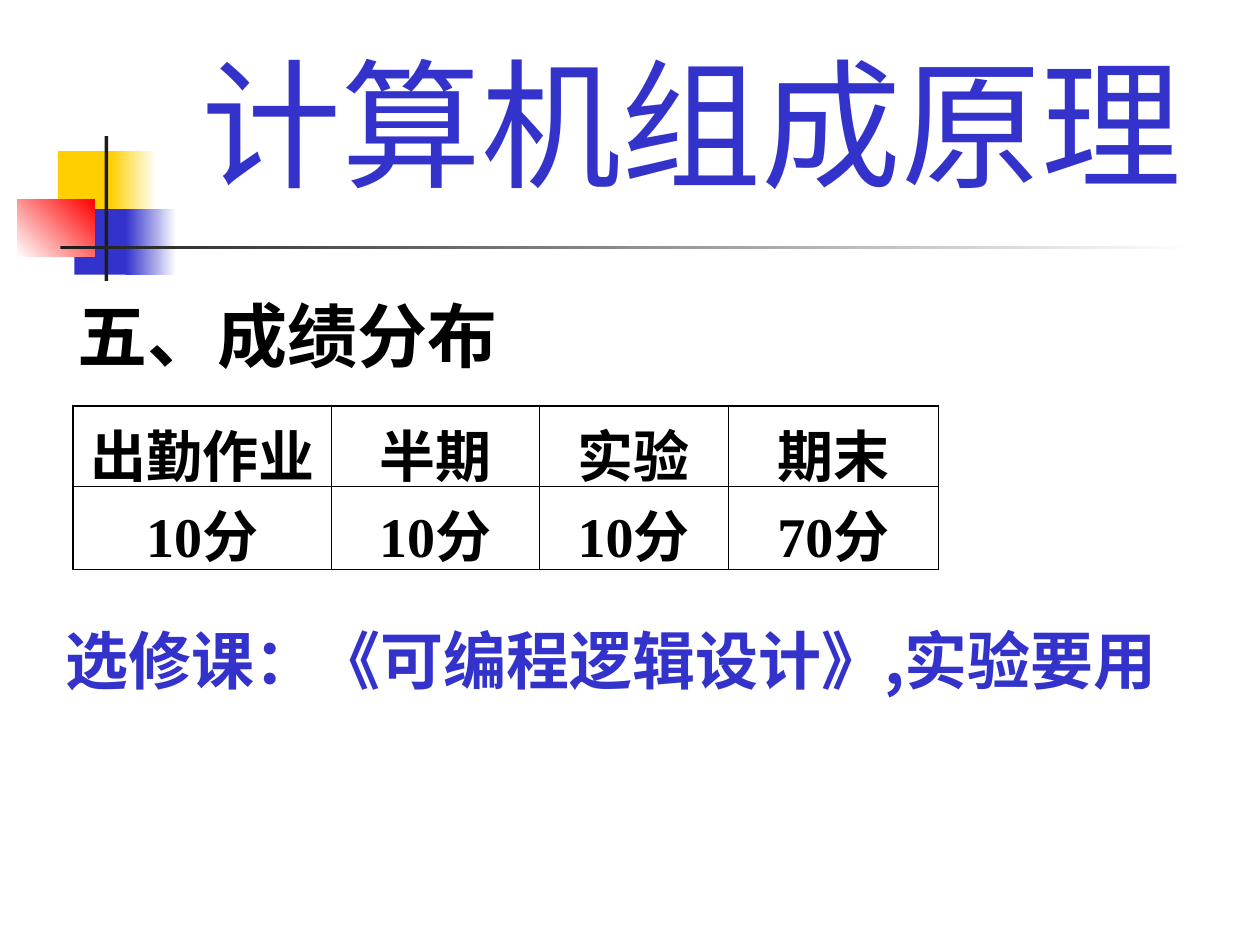
from lxml.etree import SubElement, Element
from pptx import Presentation
from pptx.dml.color import RGBColor as RGB
from pptx.enum.shapes import MSO_SHAPE as Preset
from pptx.enum.text import MSO_AUTO_SIZE as AutoSize, PP_ALIGN as Align
from pptx.oxml.ns import qn
from pptx.util import Inches, Pt

WIDTH, HEIGHT = 10, 7.5
THEME = {
    "yellow": "FFCF01", "blue": "3333CC", "red": "FF0000",
    "ink": "1C1C1C", "black": "000000", "white": "FFFFFF",
    "serif": "Times New Roman", "sans": "Lato", "hans": "Noto Sans CJK SC",
    "title": 80, "heading": 40, "note": 36, "cell": 32,
    "thick": 1.08, "thin": 0.45,
}

ORNAMENT = [
    ((0.46, 1.2, 0.48, 0.52), ["yellow"], 0),
    ((0.88, 1.2, 0.36, 0.52), ["yellow", "white"], 0),
    ((0.59, 1.66, 0.46, 0.52), ["blue"], 0),
    ((1, 1.66, 0.4, 0.52), ["blue", "white"], 0),
    ((0.14, 1.58, 0.61, 0.46), ["white", "red"], 45),
    ((0.83, 1.08, 0.03, 1.15), ["ink"], 0),
    ((0.48, 1.95, 9, 0.03), ["ink", "white"], 0),
]
LINES = [
    ("计算机组成原理", (1.5, 0.25, 8.08, 1.44), "title", "serif", "blue", False, 50),
    ("五、成绩分布", (0.52, 2.27, 6.33, 0.77), "heading", "sans", "black", True, 25),
    ("选修课：《可编程逻辑设计》,实验要用", (0.42, 4.88, 9.31, 0.7),
     "note", "hans", "blue", True, 0),
]
SCORES = [
    ["出勤作业", "半期", "实验", "期末"],
    ["10分", "10分", "10分", "70分"],
]
SCORE_COLUMNS, SCORE_ROWS = [2.05, 1.65, 1.5, 1.67], [0.64, 0.66]
SCORE_LEFT, SCORE_TOP = 0.58, 3.22


def color(name):
    return RGB.from_string(THEME[name])


def place(box):
    return [Inches(length) for length in box]


def write(frame, text, size, face, tint, bold, before, align=Align.LEFT):
    paragraph = frame.paragraphs[0]
    run = paragraph.add_run()
    run.text = text
    formats = [
        (paragraph, {"alignment": align, "space_before": Pt(before)}),
        (run.font, {"size": Pt(THEME[size]), "name": THEME[face], "bold": bold}),
    ]
    for target, values in formats:
        for attribute, value in values.items():
            setattr(target, attribute, value)
    run.font.color.rgb = color(tint)
    SubElement(run.font._element, qn("a:ea"), typeface=THEME["hans"])


def add_block(slide, box, tints, angle):
    block = slide.shapes.add_shape(Preset.RECTANGLE, *place(box))
    block.shadow.inherit = False
    block.line.fill.background()
    if len(tints) == 1:
        block.fill.solid()
        block.fill.fore_color.rgb = color(tints[0])
        return
    block.fill.gradient()
    block.fill.gradient_angle = angle
    for stop, tint in zip(block.fill.gradient_stops, tints):
        stop.color.rgb = color(tint)


def add_line(slide, text, box, *style):
    frame = slide.shapes.add_textbox(*place(box)).text_frame
    frame.word_wrap = True
    frame.auto_size = AutoSize.SHAPE_TO_FIT_TEXT
    write(frame, text, *style)


def set_borders(cell, edges):
    properties = cell._tc.get_or_add_tcPr()
    for index, (side, weight) in enumerate(edges.items()):
        border = Element(qn("a:ln" + side), w=str(Pt(THEME[weight])))
        paint = SubElement(border, qn("a:solidFill"))
        SubElement(paint, qn("a:srgbClr"), val=THEME["black"])
        properties.insert(index, border)


def add_scores(slide):
    box = (SCORE_LEFT, SCORE_TOP, sum(SCORE_COLUMNS), sum(SCORE_ROWS))
    table = slide.shapes.add_table(len(SCORES), len(SCORES[0]), *place(box)).table
    table.first_row = table.horz_banding = False
    for column, width in zip(table.columns, SCORE_COLUMNS):
        column.width = Inches(width)
    for row, height in zip(table.rows, SCORE_ROWS):
        row.height = Inches(height)
    for r, scores in enumerate(SCORES):
        for c, score in enumerate(scores):
            cell = table.cell(r, c)
            cell.fill.background()
            write(cell.text_frame, score, "cell", "serif", "black", True, 8, Align.CENTER)
            set_borders(cell, {
                "L": "thick" if c == 0 else "thin",
                "R": "thin",
                "T": "thick" if r == 0 else "thin",
                "B": "thick" if r == len(SCORES) - 1 else "thin",
            })


def main():
    deck = Presentation()
    deck.slide_width, deck.slide_height = place((WIDTH, HEIGHT))
    slide = deck.slides.add_slide(deck.slide_layouts[6])
    for block in ORNAMENT:
        add_block(slide, *block)
    title, heading, note = LINES
    add_line(slide, *title)
    add_line(slide, *heading)
    add_scores(slide)
    add_line(slide, *note)
    deck.save("out.pptx")


if __name__ == "__main__":
    main()
